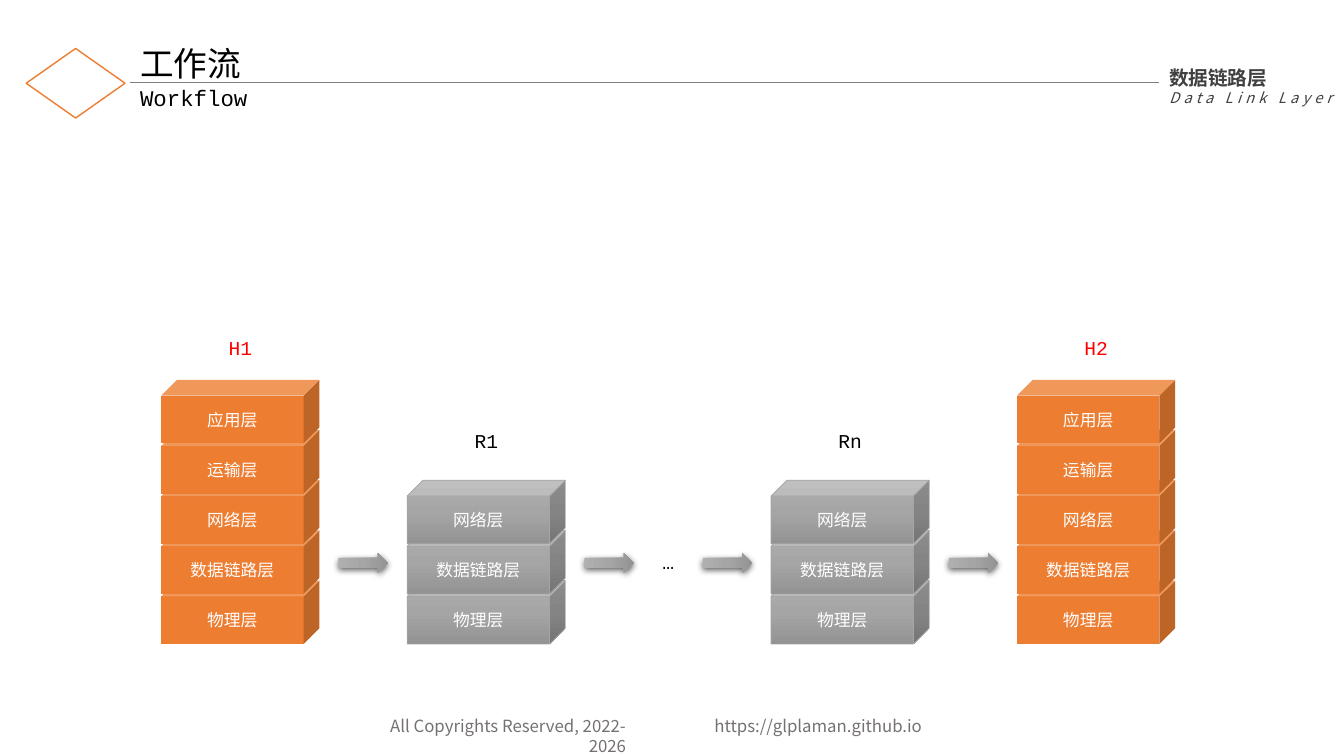
import copy
from dataclasses import dataclass

import pptx
import pptx.dml.color
import pptx.enum.shapes
import pptx.enum.text
import pptx.oxml
import pptx.oxml.ns
import pptx.util

Pt = pptx.util.Pt
RGB = pptx.dml.color.RGBColor.from_string
SHAPE = pptx.enum.shapes.MSO_SHAPE
ALIGN = pptx.enum.text.PP_ALIGN
ANCHOR = pptx.enum.text.MSO_ANCHOR
qn = pptx.oxml.ns.qn


@dataclass(frozen=True)
class Theme:
    sans: str = "Noto Sans CJK SC"
    mono: str = "Courier New"
    orange: str = "ED7D31"
    black: str = "000000"
    white: str = "FFFFFF"
    red: str = "FF0000"
    dark: str = "404040"
    rule: str = "808080"
    muted: str = "767171"
    gray: str = "A5A5A5"
    gradient: tuple = ((0, "AFAFAF"), (0.5, "A5A5A5"), (1, "939393"))
    title: float = 24
    subtitle: float = 16
    label: float = 14
    small: float = 12
    tiny: float = 10.5


T = Theme()
LAYERS = ["物理层", "数据链路层", "网络层", "运输层", "应用层"]
CUBE_W, CUBE_H, CUBE_STEP = 113, 45.4, 35.85
ARROW_W, ARROW_H, ARROW_GAP = 14.4, 35.3, 31.2
SHADOW = (
    '<a:outerShdw %s blurRad="57150" dist="19050" dir="5400000" algn="ctr" rotWithShape="0">'
    '<a:srgbClr val="000000"><a:alpha val="63000"/></a:srgbClr></a:outerShdw>'
    % pptx.oxml.ns.nsdecls("a"))


def write(p, text, size, color, font=T.sans, align=ALIGN.LEFT, spacing=None, **extra):
    p.alignment = align
    p.space_before = Pt(0)
    r = p.add_run()
    r.text = text
    r.font.color.rgb = RGB(color)
    for key, value in {"name": font, "size": Pt(size), **extra}.items():
        setattr(r.font, key, value)
    rpr = r.font._element
    if spacing:
        rpr.set("spc", str(spacing * 100))
    ea = rpr.makeelement(qn("a:ea"), {"typeface": T.sans})
    rpr.find(qn("a:latin")).addnext(ea)


def text_box(s, box, lines, wrap=False):
    tf = s.shapes.add_textbox(*map(Pt, box)).text_frame
    tf.word_wrap = wrap
    for i, line in enumerate(lines):
        write(tf.add_paragraph() if i else tf.paragraphs[0], **line)


def fill_gradient(sp):
    sp.fill.gradient()
    sp.fill.gradient_angle = 270
    stops = sp._element.spPr.find(".//" + qn("a:gsLst"))
    stops.append(copy.deepcopy(stops[0]))
    for stop, (position, color) in zip(sp.fill.gradient_stops, T.gradient):
        stop.position = position
        stop.color.rgb = RGB(color)


def placeholder(sp, box, anchor, **line):
    for key, value in zip(("left", "top", "width", "height"), box):
        setattr(sp, key, Pt(value))
    tf = sp.text_frame
    for key, value in {"word_wrap": True, "vertical_anchor": anchor,
                       "auto_size": pptx.enum.text.MSO_AUTO_SIZE.NONE}.items():
        setattr(tf, key, value)
    tf.paragraphs[0].line_spacing = 0.9
    write(tf.paragraphs[0], bold=False, **line)


def header(s, box):
    x, y, w, h = box
    text_x, rule_y, chapter_x = x + 74.2, y + 31.6, x + 809.3

    # Emblem
    sp = s.shapes.add_shape(SHAPE.DIAMOND, Pt(x), Pt(y + 7.2), Pt(70.6), Pt(49.7))
    sp.shadow.inherit = False
    sp.fill.background()
    sp.line.color.rgb = RGB(T.orange)
    sp.line.width = Pt(1)

    # Chapter name
    text_box(s, (chapter_x, y + 15.8, x + w - chapter_x, 36.7), [
        dict(text="数据链路层", size=T.label, color=T.dark, bold=True),
        dict(text="Data Link Layer", size=T.tiny, color=T.dark, italic=True, spacing=3)])

    # Rule
    rule = s.shapes.add_connector(pptx.enum.shapes.MSO_CONNECTOR.STRAIGHT,
                                  Pt(text_x), Pt(rule_y), Pt(chapter_x), Pt(rule_y))
    rule.line.color.rgb = RGB(T.rule)
    rule.line.width = Pt(1)
    pr = rule._element.spPr
    pr.append(pr.makeelement(qn("a:effectLst"), {}))

    # Title and subtitle
    placeholder(s.shapes.title, (text_x, y, chapter_x - text_x, 39.6), ANCHOR.MIDDLE,
                text="工作流", size=T.title, color=T.black)
    placeholder(s.placeholders[1], (text_x, rule_y, 216.7, 25.2), ANCHOR.TOP,
                text="Workflow", size=T.subtitle, color=T.black, font=T.mono)


def footer(s, box):
    x, y, w, h = box
    copyright_w, url_w = 208, 260
    text_box(s, (x, y, copyright_w, h), [
        dict(text="All Copyrights Reserved, 2022-2026", size=T.small, color=T.muted,
             align=ALIGN.RIGHT)], wrap=True)
    text_box(s, (x + w - url_w, y, url_w, h), [
        dict(text="https://glplaman.github.io", size=T.small, color=T.muted)], wrap=True)


def label(s, center, top, text, color=T.black):
    text_box(s, (center - 16, top, 32, 24.5), [
        dict(text=text, size=T.label, color=color, font=T.mono, align=ALIGN.CENTER)])


def stack(s, x, bottom, name, layers, host):
    grp = s.shapes.add_group_shape()
    for i, layer in enumerate(layers):
        top = bottom - CUBE_H - i * CUBE_STEP
        sp = grp.shapes.add_shape(SHAPE.CUBE, Pt(x), Pt(top), Pt(CUBE_W), Pt(CUBE_H))
        sp.shadow.inherit = False
        if host:
            sp.fill.solid()
            sp.fill.fore_color.rgb = RGB(T.orange)
            sp.line.fill.background()
        else:
            fill_gradient(sp)
            sp.line.color.rgb = RGB(T.gray)
            sp.line.width = Pt(0.5)
        sp.text_frame.vertical_anchor = ANCHOR.MIDDLE
        write(sp.text_frame.paragraphs[0], layer, T.small, T.white, align=ALIGN.CENTER)
    label(s, x + CUBE_W / 2, top - (35.2 if host else 40.3), name,
          T.red if host else T.black)


def arrow(s, center, middle):
    sp = s.shapes.add_shape(SHAPE.DOWN_ARROW, Pt(center - ARROW_W / 2),
                            Pt(middle - ARROW_H / 2), Pt(ARROW_W), Pt(ARROW_H))
    sp.rotation = 270
    sp.shadow.inherit = False
    fill_gradient(sp)
    sp.line.fill.background()
    sp._element.spPr.find(qn("a:effectLst")).append(pptx.oxml.parse_xml(SHADOW))


def workflow(s, box):
    x, y, w, h = box
    bottom = y + h
    h1, r1, rn, h2 = x, x + 175.7, x + 435.6, x + w - CUBE_W

    # Hosts and routers
    for left, name, count in ((h1, "H1", 5), (h2, "H2", 5), (r1, "R1", 3), (rn, "Rn", 3)):
        stack(s, left, bottom, name, LAYERS[:count], host=count == 5)

    # Arrows beside the data link layer
    middle = bottom - 58
    for center in (h1 + CUBE_W + ARROW_GAP, r1 + CUBE_W + ARROW_GAP,
                   rn - ARROW_GAP, h2 - ARROW_GAP):
        arrow(s, center, middle)
    label(s, (r1 + CUBE_W + rn) / 2, middle - 12.5, "…")


def main():
    prs = pptx.Presentation()
    prs.slide_width, prs.slide_height = Pt(960), Pt(540)
    s = prs.slides.add_slide(prs.slide_layouts[2])
    footer(s, (246.3, 507.6, 517, 21.6))
    header(s, (18.7, 27.4, 941.3, 57))
    workflow(s, (115.2, 236.2, 724.3, 223.9))
    prs.save("out.pptx")


if __name__ == "__main__":
    main()
